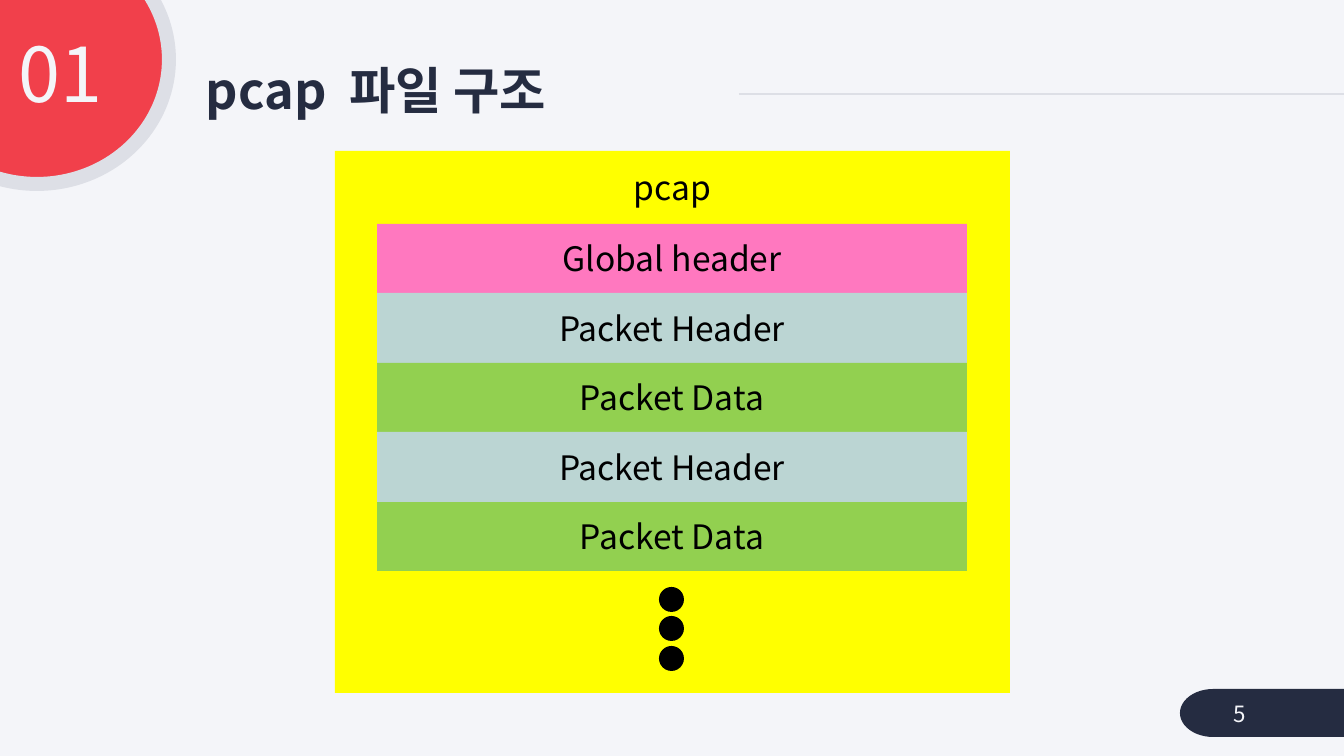
from dataclasses import dataclass

from lxml import etree
from pptx import Presentation
from pptx import util as u
from pptx.dml.color import RGBColor
from pptx.enum import shapes, text
from pptx.oxml import ns

EMU_PER_PIXEL = 914400 / 100.8
FONT = "Noto Sans CJK KR"
COLORS = {
    "paper": "F4F5F9",
    "navy": "252C41",
    "red": "F1404B",
    "rule": "DDDFE6",
    "yellow": "FFFF00",
    "pink": "FF78BF",
    "teal": "BBD5D3",
    "green": "92D050",
    "black": "000000",
}
SHAPE = shapes.MSO_SHAPE
ALIGN = text.PP_ALIGN
ANCHOR = text.MSO_ANCHOR


@dataclass(frozen=True)
class Area:
    left: int
    top: int
    width: int
    height: int

    def emu(self) -> list[u.Emu]:
        return [px(n) for n in (self.left, self.top, self.width, self.height)]


@dataclass(frozen=True)
class Label:
    words: tuple[str, ...]
    size: int
    color: str
    align: ALIGN = ALIGN.LEFT
    anchor: ANCHOR = ANCHOR.MIDDLE
    bold: bool = False
    line_spacing: float = 1.0
    space_before: int = 0


@dataclass(frozen=True)
class Block:
    name: str
    color: str


def px(pixels: int) -> u.Emu:
    return u.Emu(round(pixels * EMU_PER_PIXEL))


def rgb(name: str) -> RGBColor:
    return RGBColor.from_string(COLORS[name])


def write(box, label: Label) -> None:
    frame = box.text_frame
    frame.word_wrap = True
    frame.vertical_anchor = label.anchor
    para = frame.paragraphs[0]
    para.alignment = label.align
    para.line_spacing = label.line_spacing
    para.space_before = u.Pt(label.space_before)
    font = para.font
    font.size = u.Pt(label.size)
    font.bold = label.bold
    font.color.rgb = rgb(label.color)
    font.name = FONT
    defaults = para._p.pPr.find(ns.qn("a:defRPr"))
    etree.SubElement(defaults, ns.qn("a:ea"), typeface=FONT)
    for word in label.words:
        para.add_run().text = word


def add_text(parent, area: Area, label: Label):
    box = parent.add_textbox(*area.emu())
    write(box, label)
    return box


def add_solid(parent, kind: SHAPE, area: Area, color: str):
    solid = parent.add_shape(kind, *area.emu())
    solid.shadow.inherit = False
    solid.fill.solid()
    solid.fill.fore_color.rgb = rgb(color)
    solid.line.fill.background()
    return solid


def add_block(parent, area: Area, block: Block) -> None:
    bar = add_solid(parent, SHAPE.RECTANGLE, area, block.color)
    write(bar, Label((block.name,), 24, "black", ALIGN.CENTER))


deck = Presentation()
deck.slide_width, deck.slide_height = px(1344), px(756)
page = deck.slides.add_slide(deck.slide_layouts[6])
page.background.fill.solid()
page.background.fill.fore_color.rgb = rgb("paper")

rule = page.shapes.add_connector(
    shapes.MSO_CONNECTOR.STRAIGHT, px(739), px(94), px(1344), px(94)
)
rule.line.color.rgb = rgb("rule")
rule.line.width = u.Pt(1.5)
etree.SubElement(rule._element.spPr, ns.qn("a:effectLst"))

badge = add_solid(page.shapes, SHAPE.OVAL, Area(-95, -65, 264, 249), "red")
badge.line.color.rgb = rgb("rule")
badge.line.width = u.Pt(10)
add_solid(page.shapes, SHAPE.FLOWCHART_TERMINATOR, Area(1180, 689, 207, 48), "navy")

title = add_text(
    page.shapes,
    Area(196, 59, 543, 68),
    Label(("pcap", " ", "파일 구조"), 36, "navy", bold=True, line_spacing=0.9),
)
gap = title.text_frame.paragraphs[0].runs[1]
gap._r.get_or_add_rPr().set("spc", "800")
add_text(
    page.shapes,
    Area(-11, 32, 123, 93),
    Label(("01",), 54, "paper", ALIGN.RIGHT, ANCHOR.TOP, line_spacing=0.9, space_before=10),
)
add_text(page.shapes, Area(1224, 694, 110, 40), Label(("5",), 16, "paper"))

diagram = page.shapes.add_group_shape().shapes
add_solid(diagram, SHAPE.RECTANGLE, Area(335, 151, 675, 542), "yellow")

packet = [Block("Packet Header", "teal"), Block("Packet Data", "green")]
blocks = [Block("Global header", "pink"), *packet * 2]
STACK_TOP, STACK_HEIGHT = 224, 347
edges = [
    STACK_TOP + round(STACK_HEIGHT * i / len(blocks)) for i in range(len(blocks) + 1)
]
for block, top, bottom in zip(blocks, edges, edges[1:]):
    add_block(diagram, Area(377, top, 590, bottom - top), block)

for i in range(3):
    add_solid(diagram, SHAPE.OVAL, Area(659, round(587 + 29.5 * i), 25, 25), "black")

add_block(diagram, Area(487, 153, 371, 69), Block("pcap", "yellow"))

deck.save("out.pptx")
